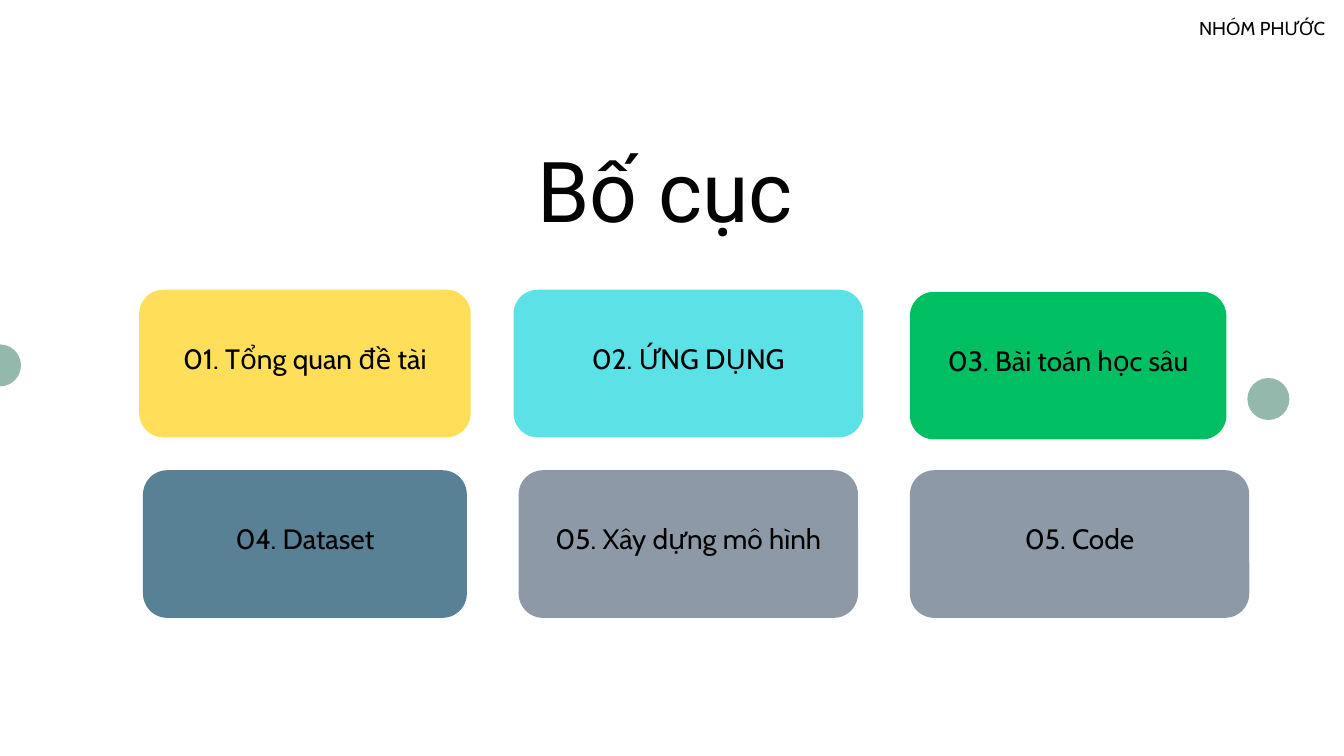
from dataclasses import dataclass

from pptx import Presentation
from pptx import util as u
from pptx.dml.color import RGBColor
from pptx.enum import shapes, text


@dataclass(frozen=True)
class Theme:
    background: str = "FFFFFF"
    heading: str = "040404"
    label: str = "000000"
    dot: str = "94B8AB"
    yellow: str = "FFDE59"
    cyan: str = "5CE1E6"
    green: str = "00BF63"
    teal: str = "598196"
    grey: str = "8E99A7"
    title_font: str = "Roboto"
    body_font: str = "Cabin"
    title_size: float = 90
    label_size: float = 30
    header_size: float = 20


THEME = Theme()
CARD_HEIGHT = 158.2
CARD_RADIUS = 26
ROW_1, ROW_2 = 310.4, 503.8
CENTER_1, CENTER_2, LEFT_3 = 326.7, 737.5, 974.9


def write_text(tf, content, *, font, size, color, align, spacing,
               anchor=text.MSO_ANCHOR.TOP, insets=(0, 0, 0, 0)):
    """Fill a text frame with one line; insets are left, top, right, bottom."""
    tf.word_wrap = True
    tf.vertical_anchor = anchor
    tf.margin_left, tf.margin_top, tf.margin_right, tf.margin_bottom = map(u.Pt, insets)
    p = tf.paragraphs[0]
    p.alignment = align
    p.line_spacing = u.Pt(spacing)
    r = p.add_run()
    r.text = content
    r.font.name = font
    r.font.size = u.Pt(size)
    r.font.color.rgb = RGBColor.from_string(color)


def add_filled(s, kind, left, top, width, height, color):
    sp = s.shapes.add_shape(kind, u.Pt(left), u.Pt(top), u.Pt(width), u.Pt(height))
    sp.shadow.inherit = False
    sp.fill.solid()
    sp.fill.fore_color.rgb = RGBColor.from_string(color)
    sp.line.fill.background()
    return sp


def add_dot(s, center_x, center_y, diameter=45):
    add_filled(s, shapes.MSO_SHAPE.OVAL, center_x - diameter / 2,
               center_y - diameter / 2, diameter, diameter, THEME.dot)


def add_card(s, label, left, top, width, color):
    sp = add_filled(s, shapes.MSO_SHAPE.ROUNDED_RECTANGLE,
                    left, top, width, CARD_HEIGHT, color)
    sp.adjustments[0] = CARD_RADIUS / CARD_HEIGHT
    # The deeper bottom inset lifts the label above the middle of the card.
    write_text(sp.text_frame, label, font=THEME.body_font, size=THEME.label_size,
               color=THEME.label, align=text.PP_ALIGN.CENTER, spacing=41.7,
               anchor=text.MSO_ANCHOR.MIDDLE, insets=(4, 4, 4, 21))


def add_text(s, content, left, top, width, height, **fmt):
    box = s.shapes.add_textbox(u.Pt(left), u.Pt(top), u.Pt(width), u.Pt(height))
    write_text(box.text_frame, content, color=THEME.heading, **fmt)


def main():
    prs = Presentation()
    prs.slide_width, prs.slide_height = u.Pt(1440), u.Pt(810)
    s = prs.slides.add_slide(prs.slide_layouts[6])
    s.background.fill.solid()
    s.background.fill.fore_color.rgb = RGBColor.from_string(THEME.background)

    add_dot(s, 1359, 427.5)
    add_dot(s, 0, 391.5)
    add_text(s, "Bố cục", 204.5, 157.7, 1016.6, 101.5, font=THEME.title_font,
             size=THEME.title_size, align=text.PP_ALIGN.CENTER, spacing=99)
    add_text(s, "NHÓM PHƯỚC", 1121, 14.4, 298.8, 26.6, font=THEME.body_font,
             size=THEME.header_size, align=text.PP_ALIGN.RIGHT, spacing=27.8)

    # The first two columns are centred; the third is aligned on its left edge.
    centered_cards = [
        ("01. Tổng quan đề tài", CENTER_1, ROW_1, 355.2, THEME.yellow),
        ("02. ỨNG DỤNG", CENTER_2, ROW_1, 374.6, THEME.cyan),
        ("04. Dataset", CENTER_1, ROW_2, 347, THEME.teal),
        ("05. Xây dựng mô hình", CENTER_2, ROW_2, 363.6, THEME.grey),
    ]
    for label, center, top, width, color in centered_cards:
        add_card(s, label, center - width / 2, top, width, color)
    add_card(s, "03. Bài toán học sâu", LEFT_3, 312.6, 339.2, THEME.green)
    add_card(s, "05. Code", LEFT_3, ROW_2, 363.6, THEME.grey)

    prs.save("out.pptx")


if __name__ == "__main__":
    main()
